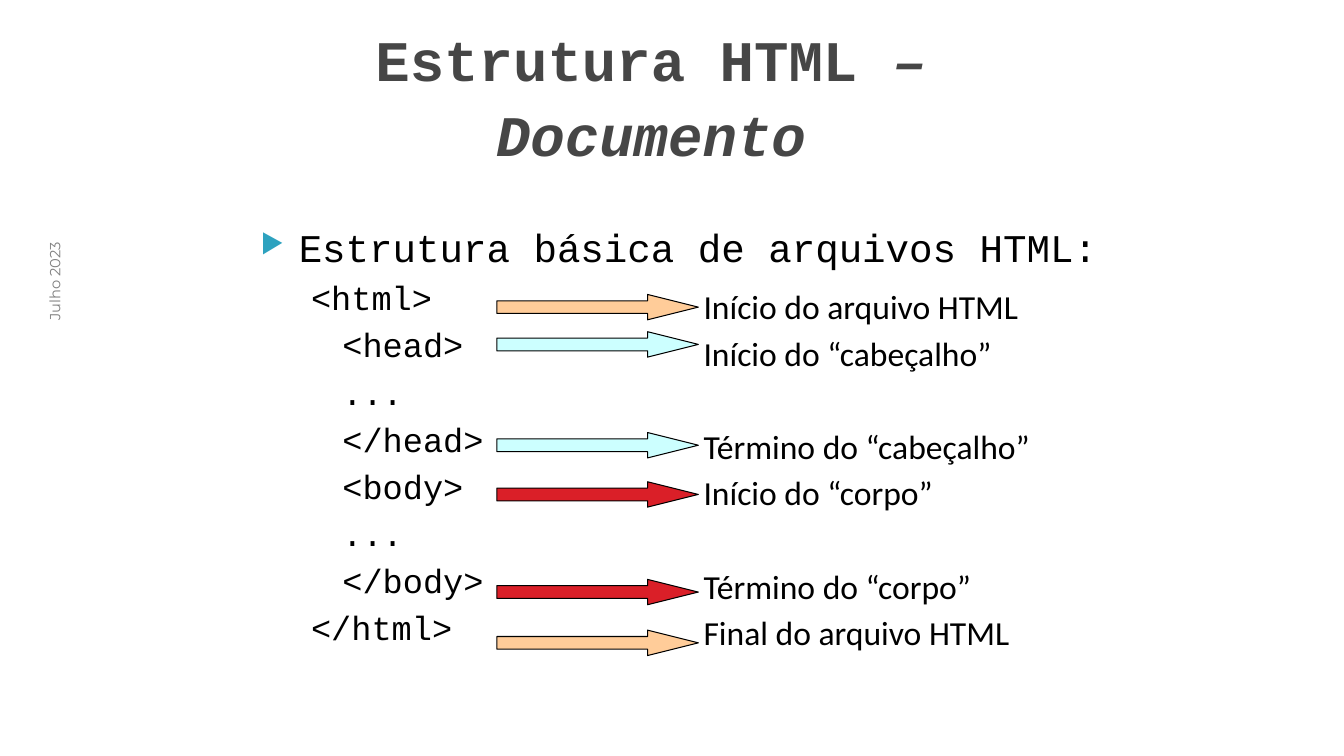
"""Build the slide on the basic structure of an HTML document."""
import lxml.etree
import pptx
import pptx.dml.color
import pptx.enum.shapes
import pptx.enum.text
import pptx.oxml.ns
import pptx.util

Cm = pptx.util.Cm
Pt = pptx.util.Pt
ALIGN = pptx.enum.text.PP_ALIGN
ANCHOR = pptx.enum.text.MSO_ANCHOR

COLORS = {
    "text": "000000",
    "title": "464646",
    "date": "808080",
    "bullet": "2DA2BF",
    "html": "FFCC99",
    "head": "CCFFFF",
    "body": "DA1F28",
}
TITLE_FONT = {"name": "Courier New", "size": Pt(41), "bold": True}
TOPIC_FONT = {"name": "Courier New", "size": Pt(28)}
CODE_FONT = {"name": "Courier New", "size": Pt(24)}
LABEL_FONT = {"name": "Calibri", "size": Pt(24)}
DATE_FONT = {"name": "Montserrat", "size": Pt(10.5)}

CODE_LINES = [
    ("<html>", 0), ("<head>", 1), ("...", 1), ("</head>", 1),
    ("<body>", 1), ("...", 1), ("</body>", 1), ("</html>", 0),
]
LABEL_GAP = 4.3
LABEL_SKIP = 37.9
LABELS = [
    ("Início do arquivo HTML", 0),
    ("Início do “cabeçalho”", LABEL_GAP),
    ("Término do “cabeçalho”", LABEL_SKIP),
    ("Início do “corpo”", LABEL_GAP),
    ("Término do “corpo”", LABEL_SKIP),
    ("Final do arquivo HTML", LABEL_GAP),
]
ARROWS = [
    ("html", 7.42), ("html", 15.88),
    ("head", 8.36), ("head", 10.9),
    ("body", 12.14), ("body", 14.6),
]


def rgb(key):
    """Return the named colour."""
    return pptx.dml.color.RGBColor.from_string(COLORS[key])


def apply_format(target, values):
    """Set each attribute of the target from a dict."""
    for name, value in values.items():
        setattr(target, name, value)


def add_run(paragraph, text, font, color="text"):
    """Append a formatted run to a paragraph."""
    run = paragraph.add_run()
    run.text = text
    apply_format(run.font, font)
    run.font.color.rgb = rgb(color)


def add_text_frame(slide, left, top, width, height):
    """Add a wrapping text box and return its text frame."""
    box = slide.shapes.add_textbox(Cm(left), Cm(top), Cm(width), Cm(height))
    box.text_frame.word_wrap = True
    return box.text_frame


def next_paragraph(frame):
    """Return the unused first paragraph or a new one."""
    first = frame.paragraphs[0]
    return frame.add_paragraph() if first.runs else first


def set_indent(paragraph, left, hanging=0):
    """Set the left margin and hanging indent in centimetres."""
    properties = paragraph._p.get_or_add_pPr()
    properties.set("marL", str(Cm(left)))
    properties.set("indent", str(-Cm(hanging)))


def add_bullet(paragraph):
    """Give a paragraph the coloured triangle bullet."""
    properties = paragraph._p.get_or_add_pPr()
    qn = pptx.oxml.ns.qn
    color = lxml.etree.SubElement(properties, qn("a:buClr"))
    lxml.etree.SubElement(color, qn("a:srgbClr"), val=COLORS["bullet"])
    lxml.etree.SubElement(properties, qn("a:buSzPct"), val="68000")
    lxml.etree.SubElement(properties, qn("a:buChar"), char="▶")


def add_title(slide):
    """Place and fill the title placeholder."""
    title = slide.shapes.title
    apply_format(title, {"left": Cm(4.98), "top": Cm(0.76),
                         "width": Cm(22.86), "height": Cm(3.18)})
    frame = title.text_frame
    apply_format(frame, {"word_wrap": True, "vertical_anchor": ANCHOR.MIDDLE,
                         "auto_size": pptx.enum.text.MSO_AUTO_SIZE.NONE})
    heading = frame.paragraphs[0]
    apply_format(heading, {"alignment": ALIGN.CENTER, "line_spacing": 1.08})
    add_run(heading, "Estrutura HTML", TITLE_FONT, "title")
    add_run(heading, " – Documento", {**TITLE_FONT, "italic": True}, "title")


def add_date(slide):
    """Add the date that reads upwards along the left edge."""
    date = slide.shapes.add_textbox(Cm(-0.53), Cm(7.44), Cm(3.81), Cm(0.64))
    date.rotation = 270
    apply_format(date.text_frame, {"word_wrap": True, "vertical_anchor": ANCHOR.MIDDLE})
    line = date.text_frame.paragraphs[0]
    line.alignment = ALIGN.RIGHT
    add_run(line, "Julho 2023", DATE_FONT, "date")


def add_code(slide):
    """Add the topic line and the HTML skeleton below it."""
    frame = add_text_frame(slide, 6.32, 5.51, 22.76, 11.43)
    topic = next_paragraph(frame)
    set_indent(topic, 0.96, 0.96)
    add_bullet(topic)
    add_run(topic, "Estrutura básica de arquivos HTML:", TOPIC_FONT)
    for text, depth in CODE_LINES:
        line = next_paragraph(frame)
        apply_format(line, {"level": 1, "space_before": Pt(4.8)})
        set_indent(line, 1.27 + 0.79 * depth)
        add_run(line, text, CODE_FONT)


def add_labels(slide):
    """Add the explanations beside the arrows."""
    frame = add_text_frame(slide, 16.21, 7.09, 12.5, 11.43)
    for text, gap in LABELS:
        label = next_paragraph(frame)
        apply_format(label, {"level": 1, "space_before": Pt(gap)})
        set_indent(label, 2.06, 0.79)
        add_run(label, text, LABEL_FONT)


def add_arrow(slide, color, top):
    """Add one block arrow from the code to its explanation."""
    arrow = slide.shapes.add_shape(
        pptx.enum.shapes.MSO_SHAPE.RIGHT_ARROW,
        Cm(12.52), Cm(top), Cm(5.08), Cm(0.64))
    arrow.adjustments[0] = 0.5
    arrow.adjustments[1] = 2
    arrow.shadow.inherit = False
    arrow.fill.solid()
    arrow.fill.fore_color.rgb = rgb(color)
    arrow.line.color.rgb = rgb("text")
    arrow.line.width = Pt(0.75)


def main():
    """Assemble and save the slide."""
    deck = pptx.Presentation()
    apply_format(deck, {"slide_width": Cm(33.87), "slide_height": Cm(19.05)})
    slide = deck.slides.add_slide(deck.slide_layouts[5])
    add_date(slide)
    add_code(slide)
    add_title(slide)
    for color, top in ARROWS:
        add_arrow(slide, color, top)
    add_labels(slide)
    deck.save("out.pptx")


if __name__ == "__main__":
    main()
